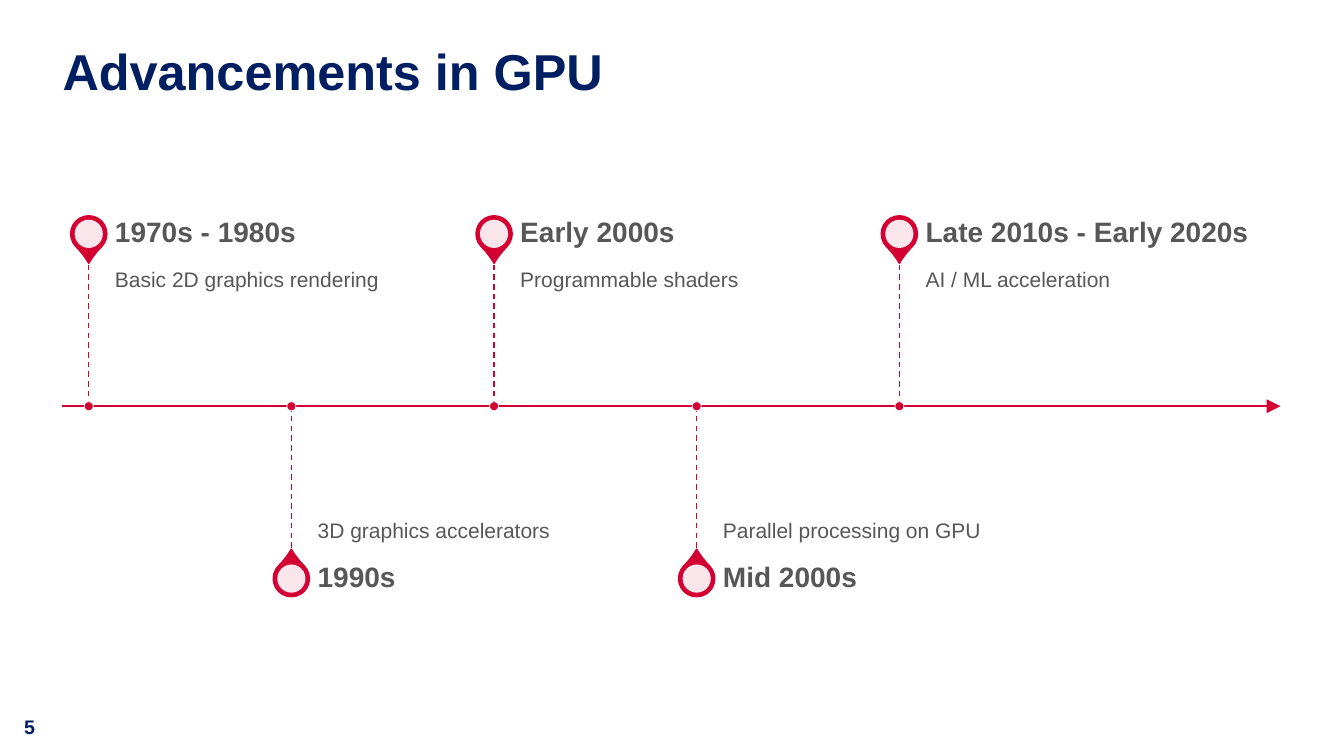
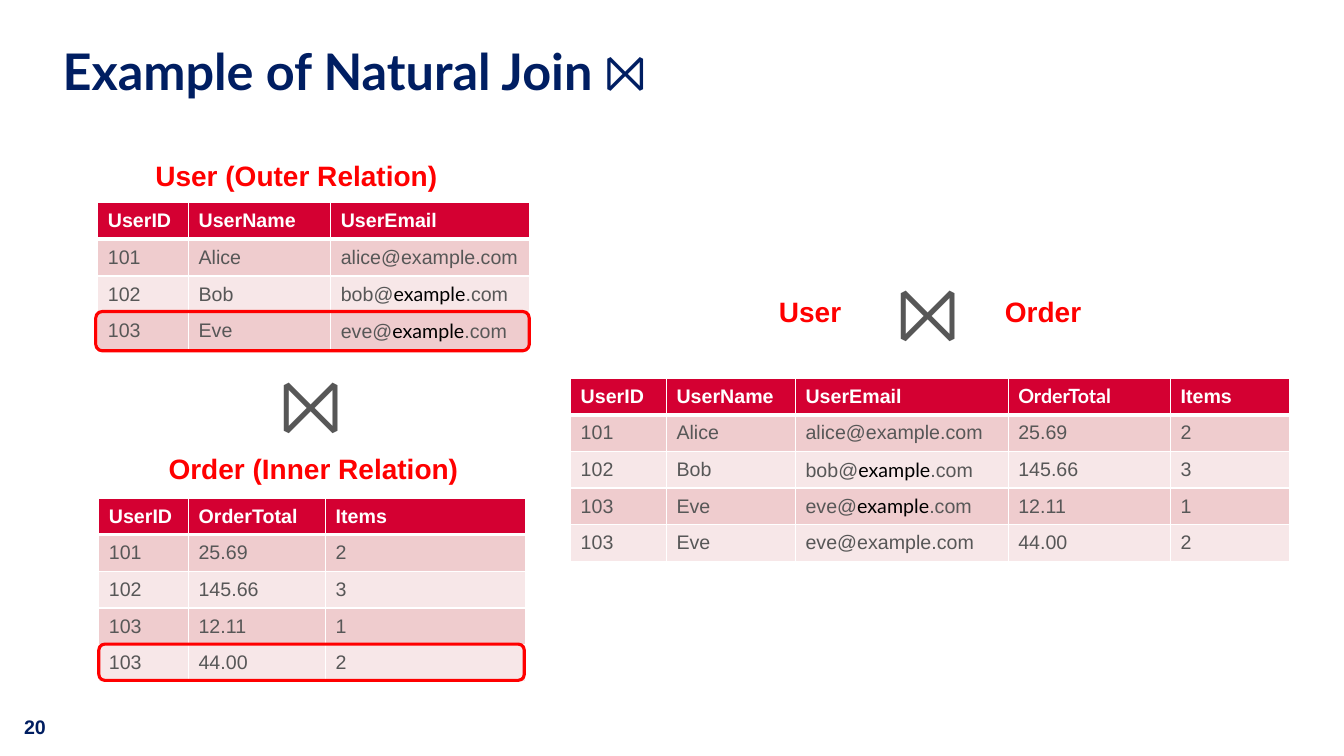
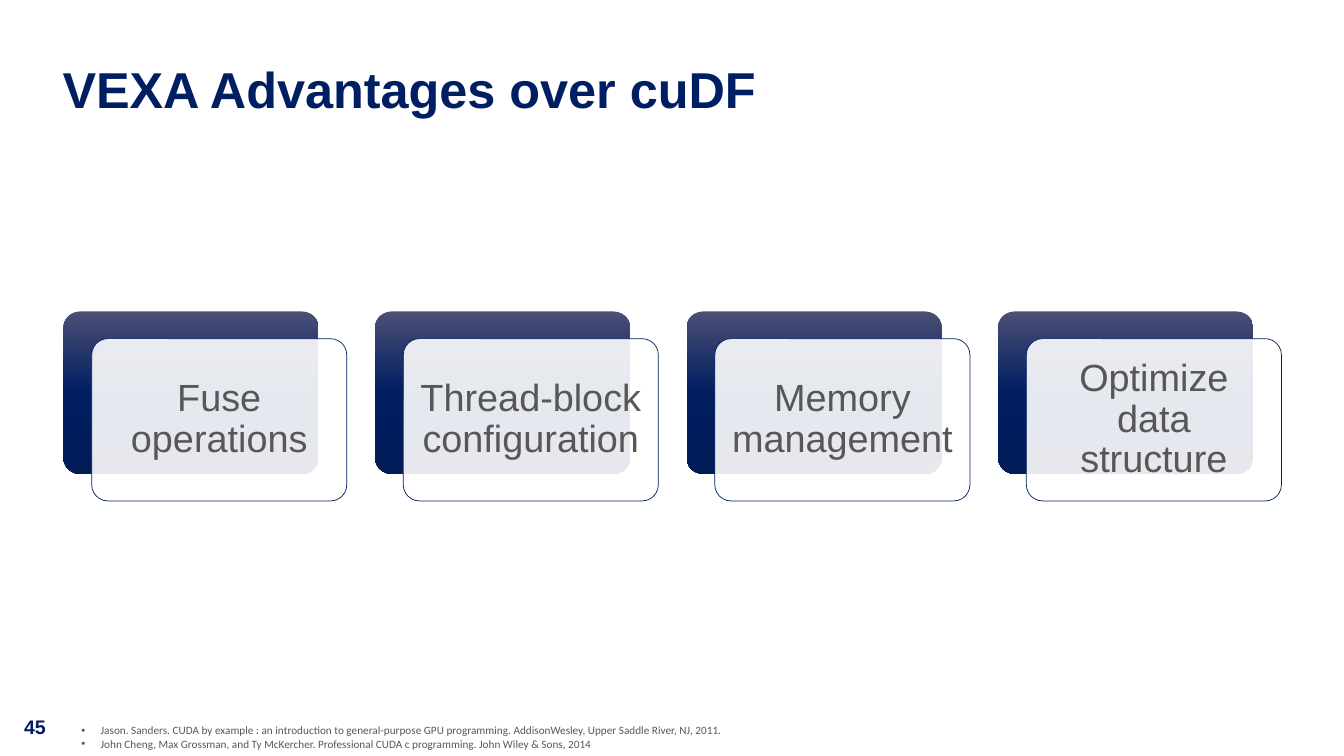
from copy import deepcopy

from lxml import etree
from pptx import Presentation, util as u
from pptx.dml.color import RGBColor
from pptx.enum import dml, shapes, text
from pptx.oxml.ns import qn

C = {"navy": "001E61", "title": "001E62", "crimson": "D40032", "grey": "575757",
     "white": "FFFFFF", "red": "FF0000", "black": "000000",
     "band": "EFCCCE", "pale": "F7E7E8", "slate": "4B4F75", "deep": "001B56"}
rgb = {name: RGBColor.from_string(value) for name, value in C.items()}
MSO, AL, AN = shapes.MSO_SHAPE, text.PP_ALIGN, text.MSO_ANCHOR
W, H, LEFT = 13.33, 7.5, 0.62
CONTENT_W = 12.08


def add(s, kind, at, fill=None, line=None, width=1, alpha=None):
    """Add a preset shape, or a text box when kind is None."""
    at = [u.Inches(v) for v in at]
    if kind is None:
        return s.shapes.add_textbox(*at)
    sp = s.shapes.add_shape(kind, *at)
    sp.shadow.inherit = False
    if fill:
        sp.fill.solid()
        sp.fill.fore_color.rgb = rgb[fill]
    else:
        sp.fill.background()
    if alpha:
        clr = sp._element.spPr.find(qn("a:solidFill"))[0]
        etree.SubElement(clr, qn("a:alpha")).set("val", str(alpha * 1000))
    if line:
        sp.line.color.rgb = rgb[line]
        sp.line.width = u.Pt(width)
    else:
        sp.line.fill.background()
    return sp


def write(tf, paras, align=AL.LEFT, anchor=AN.TOP, ins=(0.1, 0.05, 0.1, 0.05), spacing=None):
    """Fill a text frame; a run is (text, size, colour, bold, font)."""
    tf.word_wrap = True
    tf.vertical_anchor = anchor
    tf.margin_left, tf.margin_top, tf.margin_right, tf.margin_bottom = map(u.Inches, ins)
    for i, runs in enumerate(paras):
        p = tf.add_paragraph() if i else tf.paragraphs[0]
        p.alignment = align
        if spacing:
            p.line_spacing = spacing
        for words, size, colour, bold, font in runs:
            r = p.add_run()
            r.text = words
            r.font.size, r.font.bold, r.font.name = u.Pt(size), bold, font
            r.font.color.rgb = rgb[colour]


prs = Presentation()
prs.slide_width, prs.slide_height = u.Inches(W), u.Inches(H)

# Title and slide number on every slide
slides = []
for number, title, font, anchor in [
        ("5", "Advancements in GPU", "Arial", AN.TOP),
        ("20", "Example of Natural Join ⨝", "Lato", AN.TOP),
        ("45", "VEXA Advantages over cuDF", "Arial", AN.MIDDLE)]:
    s = prs.slides.add_slide(prs.slide_layouts[6])
    write(add(s, None, (0.14, 7.04, 0.66, 0.34)).text_frame,
          [[(number, 14, "navy", True, "Arial")]])
    write(add(s, None, (LEFT, 0.47, CONTENT_W, 0.89)).text_frame,
          [[(title, 36, "title", True, font)]], anchor=anchor, ins=(0, 0, 0, 0), spacing=0.9)
    slides.append(s)
timeline, join, advantages = slides

# Timeline: axis, with events alternating above (-1) and below (1)
AXIS, STEP, STEM, PIN = 4.03, 2.01, 1.46, 1.71
events = [("1970s - 1980s", "Basic 2D graphics rendering"),
          ("1990s", "3D graphics accelerators"),
          ("Early 2000s", "Programmable shaders"),
          ("Mid 2000s", "Parallel processing on GPU"),
          ("Late 2010s - Early 2020s", "AI / ML acceleration")]
marks = [(0.88 + STEP * i, 1 if i % 2 else -1) for i in range(len(events))]
lines = [(LEFT, AXIS, LEFT + CONTENT_W, AXIS)]
lines += [(x, AXIS, x, AXIS + side * STEM) for x, side in marks]
for i, ends in enumerate(lines):
    cx = timeline.shapes.add_connector(shapes.MSO_CONNECTOR.STRAIGHT, *map(u.Inches, ends))
    cx.line.color.rgb = rgb["crimson"]
    cx.line.width = u.Pt(1 if i else 1.5)
    if i:
        cx.line.dash_style = dml.MSO_LINE.DASH
    else:
        etree.SubElement(cx.line._get_or_add_ln(), qn("a:tailEnd"),
                         type="triangle", w="lg", len="lg")
    etree.SubElement(cx._element.spPr, qn("a:effectLst"))

for (x, side), (period, detail) in zip(marks, events):
    below = side > 0
    y = AXIS + side * PIN
    pin = add(timeline, MSO.TEAR, (x - 0.18, y - 0.18, 0.36, 0.36), "crimson", "crimson")
    pin.adjustments[0] = 1.15
    pin.rotation = 315 if below else 135
    add(timeline, MSO.OVAL, (x - 0.14, y - 0.14, 0.28, 0.28), "white", alpha=90)
    add(timeline, MSO.OVAL, (x - 0.045, AXIS - 0.045, 0.09, 0.09), "crimson", "white", 0.5)
    write(add(timeline, None, (x + 0.26, AXIS if below else AXIS - STEM, 3.35, 1.45)).text_frame,
          [[(detail, 15, "grey", False, "Arial")]],
          anchor=AN.BOTTOM if below else AN.TOP,
          ins=(0, 0.16, 0, 0.12) if below else (0, 0.13, 0.1, 0.16), spacing=0.9)
    write(add(timeline, None, (x + 0.26, y - 0.255, 3.35, 0.51)).text_frame,
          [[(period, 20, "grey", True, "Arial")]],
          anchor=AN.MIDDLE, ins=(0, 0, 0.14, 0), spacing=0.9)

# Join tables; text between bars is set in Lato
ROW = 0.364
users = [["UserID", "UserName", "UserEmail"],
         ["101", "Alice", "alice@example.com"],
         ["102", "Bob", "bob@|example|.com"],
         ["103", "Eve", "eve@|example|.com"]]
orders = [["UserID", "OrderTotal", "Items"],
          ["101", "25.69", "2"],
          ["102", "145.66", "3"],
          ["103", "12.11", "1"],
          ["103", "44.00", "2"]]
joined = [u_row + o_row[1:] for u_row, o_row in zip(users, orders)]
joined[0][3] = "|OrderTotal|"
joined.append(["103", "Eve", "eve@example.com", "44.00", "2"])

for rows, x, y, widths in [
        (users, 0.97, 2.01, (0.9, 1.41, 1.97)),
        (orders, 0.98, 4.94, (0.89, 1.36, 1.98)),
        (joined, 5.66, 3.75, (0.95, 1.28, 2.11, 1.61, 1.18))]:
    frame = join.shapes.add_table(len(rows), len(widths), *map(
        u.Inches, (x, y, sum(widths), ROW * len(rows))))
    table = frame.table
    table.first_row = table.horz_banding = False
    for col, width in zip(table.columns, widths):
        col.width = u.Inches(width)
    for i, row in enumerate(rows):
        for j, value in enumerate(row):
            cell = table.cell(i, j)
            cell.vertical_anchor = AN.MIDDLE
            for edge in "LRTB":
                thick = (i, edge) in [(0, "B"), (1, "T")]
                ln = etree.SubElement(cell._tc.get_or_add_tcPr(), qn("a:ln" + edge),
                                      w=str(u.Pt(3 if thick else 1)))
                solid = etree.SubElement(ln, qn("a:solidFill"))
                etree.SubElement(solid, qn("a:srgbClr"), val=C["white"])
            cell.fill.solid()
            cell.fill.fore_color.rgb = rgb["crimson" if i == 0 else "band" if i % 2 else "pale"]
            p = cell.text_frame.paragraphs[0]
            for k, part in enumerate(value.split("|")):
                if part:
                    r = p.add_run()
                    r.text = part
                    r.font.size, r.font.bold = u.Pt(14), i == 0
                    r.font.name = "Lato" if k % 2 else "Arial"
                    r.font.color.rgb = rgb["white" if i == 0 else "black" if k % 2 else "grey"]

# Relation names and join signs
for words, at in [("User (Outer Relation)", (0.79, 1.52, 4.3, 0.44)),
                  ("Order (Inner Relation)", (0.96, 4.43, 4.3, 0.44)),
                  ("User", (7.27, 2.87, 1.53, 0.44)),
                  ("Order", (9.57, 2.87, 1.55, 0.44)),
                  ("⨝", (2.54, 3.49, 1.1, 1.01)),
                  ("⨝", (8.8, 2.58, 0.67, 1.01))]:
    style = (54, "grey", False) if words == "⨝" else (20, "red", True)
    write(add(join, None, at).text_frame, [[(words, *style, "Arial")]], AL.CENTER)

# Frames around the matching rows
for at in [(0.95, 3.09, 4.3, 0.39), (0.98, 6.39, 4.22, 0.36)]:
    add(join, MSO.ROUNDED_RECTANGLE, at, line="red", width=2.25)

# Advantage cards: gradient back, translucent front with the text
CARD_W, CARD_H, PITCH = 2.53, 1.61, 3.09
for i, words in enumerate(["Fuse operations", "Thread-block configuration",
                           "Memory management", "Optimize data structure"]):
    x, y = 0.63 + PITCH * i, 3.09
    back = add(advantages, MSO.ROUNDED_RECTANGLE, (x, y, CARD_W, CARD_H))
    back.fill.gradient()
    back.fill.gradient_angle = 270
    stops = back._element.spPr.find(".//" + qn("a:gsLst"))
    stops.append(deepcopy(stops[-1]))
    for stop, (place, colour) in zip(back.fill.gradient_stops,
                                     [(0, "slate"), (0.5, "navy"), (1, "deep")]):
        stop.position = place
        stop.color.rgb = rgb[colour]
    front = add(advantages, MSO.ROUNDED_RECTANGLE, (x + 0.28, y + 0.27, CARD_W, CARD_H),
                "white", "navy", 0.5, alpha=90)
    back.adjustments[0] = front.adjustments[0] = 0.1
    write(front.text_frame, [[(words, 27, "grey", False, "Arial")]],
          AL.CENTER, AN.MIDDLE, (0.11,) * 4, 0.9)

# References
tf = add(advantages, None, (0.71, 7.13, 11.08, 0.37)).text_frame
write(tf, [[(words, 8, "grey", False, "Calibri")] for words in [
    "Jason. Sanders. CUDA by example : an introduction to general-purpose GPU programming. "
    "AddisonWesley, Upper Saddle River, NJ, 2011.",
    "John Cheng, Max Grossman, and Ty McKercher. Professional CUDA c programming. "
    "John Wiley & Sons, 2014"]])
for p in tf.paragraphs:
    pPr = p._p.get_or_add_pPr()
    pPr.set("marL", str(u.Inches(0.19)))
    pPr.set("indent", str(-u.Inches(0.19)))
    etree.SubElement(pPr, qn("a:buFont")).set("typeface", "Arial")
    etree.SubElement(pPr, qn("a:buChar")).set("char", "•")

prs.save("out.pptx")
